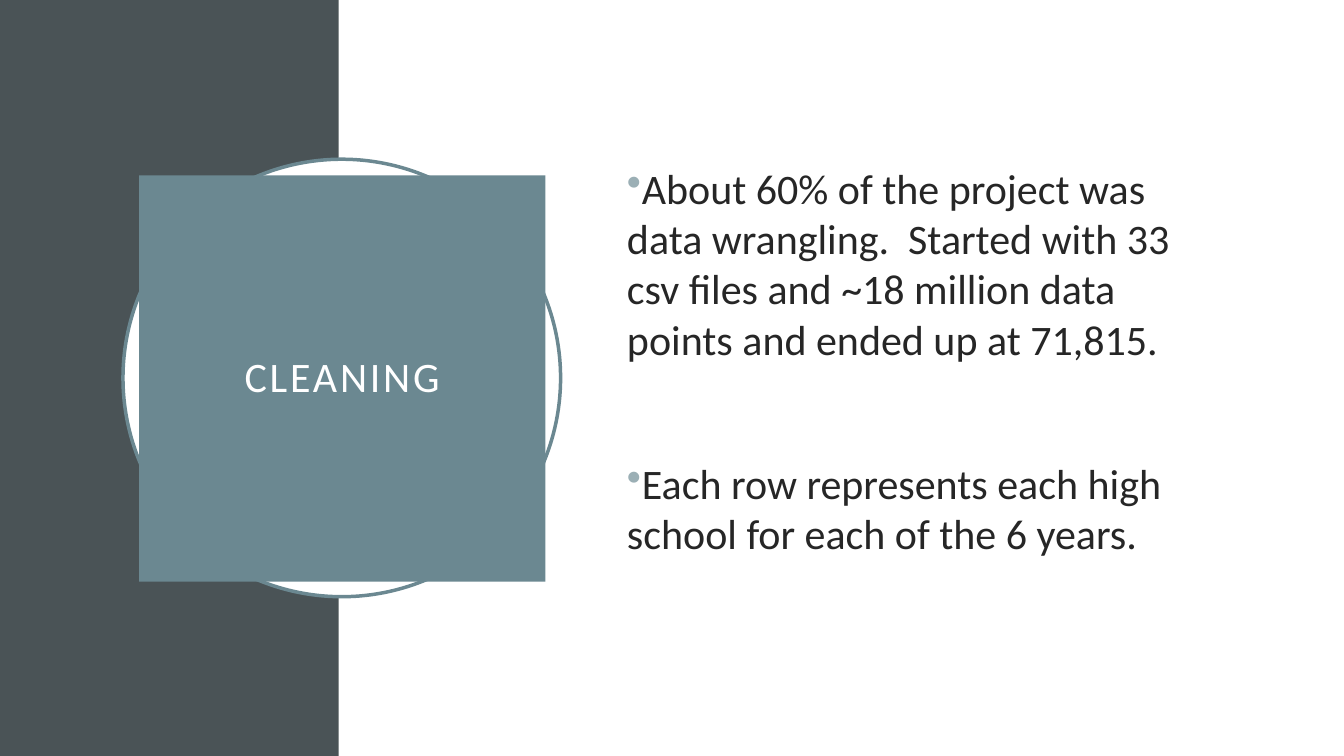
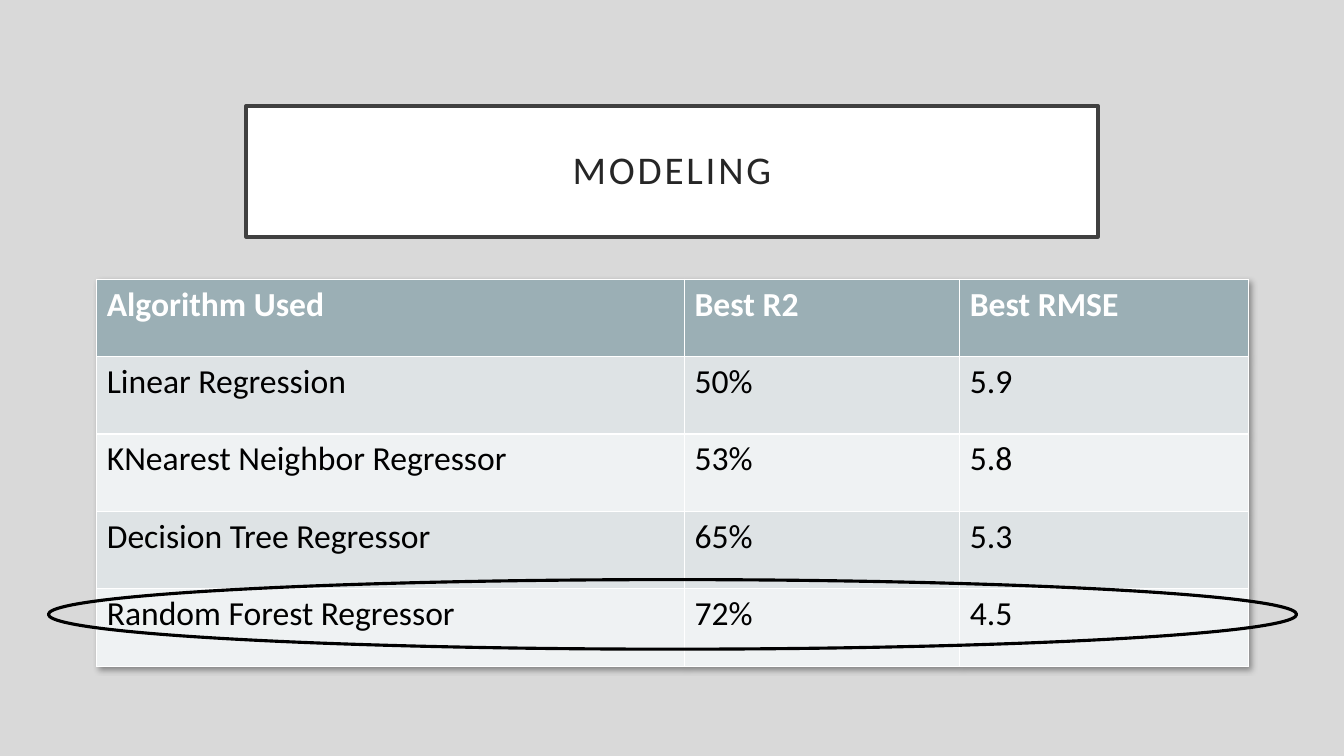
"""Build two slides: a data cleaning summary and a table of model results."""
from lxml.etree import SubElement
from pptx import Presentation
from pptx.dml.color import RGBColor
from pptx.enum.shapes import MSO_SHAPE
from pptx.enum.text import MSO_ANCHOR, PP_ALIGN
from pptx.oxml import parse_xml
from pptx.oxml.ns import nsdecls, qn
from pptx.util import Inches, Pt

FONT = "Calibri"
WHITE, BLACK, INK = "FFFFFF", "000000", "262626"
SLATE, TEAL, MIST = "4A5356", "6B8891", "9BAFB5"
GRAY, FRAME = "D9D9D9", "404040"
BANDS = ["DEE3E5", "EFF2F3"]


def add_text(p, text, size=30, color=INK, bold=False, spacing=0):
    r = p.add_run()
    r.text = text
    r.font.name, r.font.size, r.font.bold = FONT, Pt(size), bold
    r.font.color.rgb = RGBColor.from_string(color)
    if spacing:
        r._r.get_or_add_rPr().set("spc", str(spacing * 100))


def add_box(s, kind, box, fill=None, line=None, width=2.5, title=None, **fmt):
    sp = s.shapes.add_shape(kind, *map(Inches, box))
    sp.shadow.inherit = False
    if fill:
        sp.fill.solid()
        sp.fill.fore_color.rgb = RGBColor.from_string(fill)
    else:
        sp.fill.background()
    if line:
        sp.line.color.rgb = RGBColor.from_string(line)
        sp.line.width = Pt(width)
    else:
        sp.line.fill.background()
    if title:
        tf = sp.text_frame
        tf.word_wrap = True
        tf.vertical_anchor = MSO_ANCHOR.MIDDLE
        tf.margin_left = tf.margin_right = Inches(0.2)
        tf.margin_top = tf.margin_bottom = Inches(0.2)
        p = tf.paragraphs[0]
        p.alignment, p.line_spacing = PP_ALIGN.CENTER, 0.9
        add_text(p, title, spacing=2, **fmt)


prs = Presentation()
prs.slide_width, prs.slide_height = Inches(13.33), Inches(7.5)
cleaning, modeling = [prs.slides.add_slide(prs.slide_layouts[6]) for _ in range(2)]
for s, color in [(cleaning, WHITE), (modeling, GRAY)]:
    s.background.fill.solid()
    s.background.fill.fore_color.rgb = RGBColor.from_string(color)

add_box(cleaning, MSO_SHAPE.RECTANGLE, (0, 0, 3.36, 7.5), SLATE)
add_box(cleaning, MSO_SHAPE.OVAL, (1.22, 1.58, 4.34, 4.34), WHITE, TEAL)
add_box(cleaning, MSO_SHAPE.RECTANGLE, (1.38, 1.74, 4.03, 4.03), TEAL,
        title="CLEANING", color=WHITE)

points = [
    "About 60% of the project was data wrangling.  Started with 33 csv files "
    "and ~18 million data points and ended up at 71,815.",
    "Each row represents each high school for each of the 6 years.",
]
tf = cleaning.shapes.add_textbox(
    Inches(6.12), Inches(1.56), Inches(5.82), Inches(4.4)).text_frame
tf.word_wrap = True
for i, point in enumerate(points):
    p = tf.add_paragraph() if i else tf.paragraphs[0]
    p.space_before = Pt(67 if i else 0)
    pPr = p._p.get_or_add_pPr()
    SubElement(SubElement(pPr, qn("a:buClr")), qn("a:srgbClr"), val=MIST)
    SubElement(pPr, qn("a:buChar"), char="•")
    add_text(p, point)

add_box(modeling, MSO_SHAPE.RECTANGLE, (2.44, 1.05, 8.45, 1.3), WHITE, FRAME,
        title="MODELING", size=28)

rows = [
    ("Algorithm Used", "Best R2", "Best RMSE"),
    ("Linear Regression", "50%", "5.9"),
    ("KNearest Neighbor Regressor", "53%", "5.8"),
    ("Decision Tree Regressor", "65%", "5.3"),
    ("Random Forest Regressor", "72%", "4.5"),
]
table = modeling.shapes.add_table(
    len(rows), 3, Inches(0.96), Inches(2.77), Inches(11.42), Inches(3.84)).table
for column, width in zip(table.columns, (5.83, 2.73, 2.86)):
    column.width = Inches(width)
for i, row in enumerate(rows):
    for j, text in enumerate(row):
        cell = table.cell(i, j)
        cell.fill.solid()
        cell.fill.fore_color.rgb = RGBColor.from_string(BANDS[(i - 1) % 2] if i else MIST)
        add_text(cell.text_frame.paragraphs[0], text, size=24,
                 color=BLACK if i else WHITE, bold=i == 0)
table._tbl.tblPr.insert(0, parse_xml(
    f'<a:effectLst {nsdecls("a")}><a:outerShdw blurRad="50800" dist="38100" dir="2700000">'
    f'<a:srgbClr val="{BLACK}"><a:alpha val="40000"/></a:srgbClr>'
    '</a:outerShdw></a:effectLst>'))

add_box(modeling, MSO_SHAPE.OVAL, (0.48, 5.75, 12.38, 0.69), line=BLACK, width=2.25)

prs.save("out.pptx")
